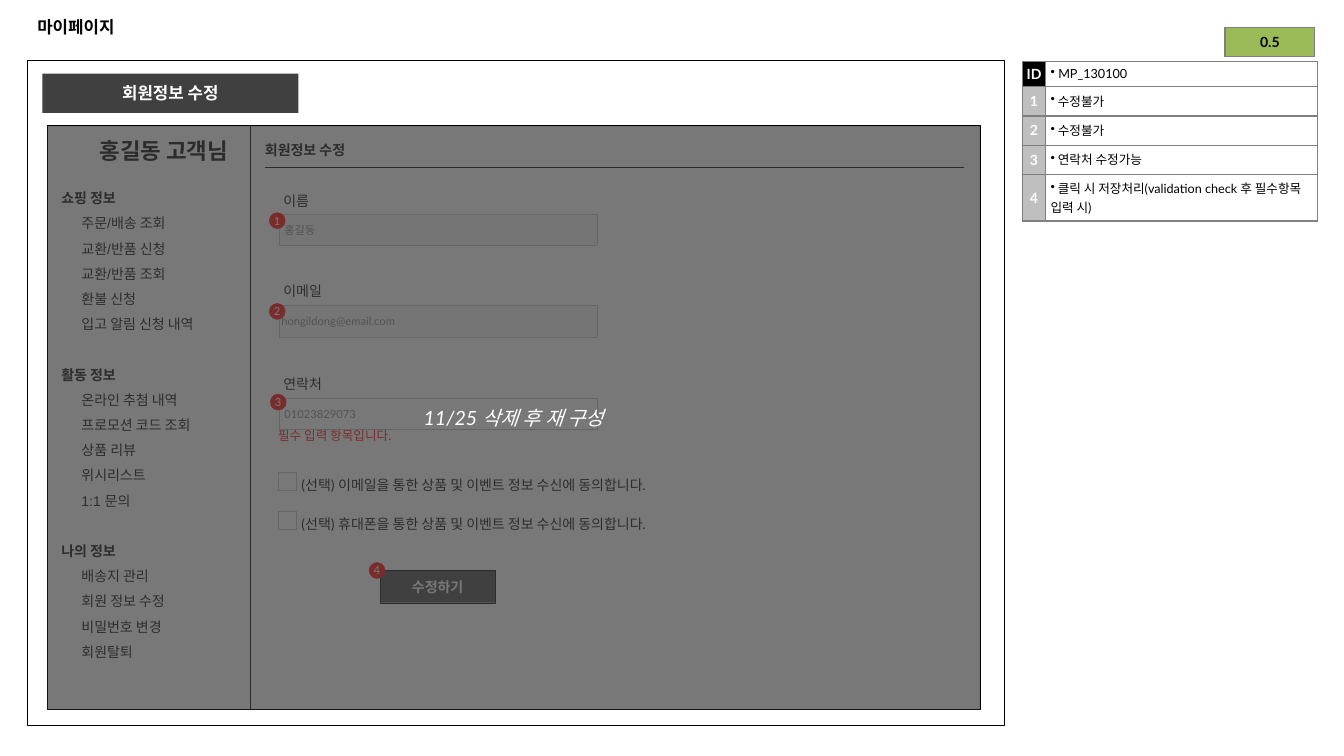
from lxml import etree
from pptx import Presentation
from pptx.dml.color import RGBColor
from pptx.enum.shapes import MSO_CONNECTOR, MSO_SHAPE
from pptx.enum.text import MSO_ANCHOR, PP_ALIGN
from pptx.oxml.ns import qn
from pptx.util import Inches, Pt

RECTANGLE, OVAL = MSO_SHAPE.RECTANGLE, MSO_SHAPE.OVAL
STRAIGHT = MSO_CONNECTOR.STRAIGHT
LEFT, CENTER = PP_ALIGN.LEFT, PP_ALIGN.CENTER
TOP, MIDDLE = MSO_ANCHOR.TOP, MSO_ANCHOR.MIDDLE

COLORS = {
    "black": "000000", "white": "FFFFFF", "dark": "404040", "rule": "7F7F7F",
    "hint": "808080", "pale": "BFBFBF", "field": "F2F2F2", "red": "FF0000",
    "green": "9BBB59",
}
ARIAL, LATO, NOTO = "Arial", "Lato", "Noto Sans CJK KR"
GRID = Inches(0.1)  # one column and one row of the layout grid
FORM_LEFT = 27.7

MENU = {
    "쇼핑 정보": ["주문/배송 조회", "교환/반품 신청", "교환/반품 조회", "환불 신청",
              "입고 알림 신청 내역"],
    "활동 정보": ["온라인 추첨 내역", "프로모션 코드 조회", "상품 리뷰", "위시리스트",
              "1:1 문의"],
    "나의 정보": ["배송지 관리", "회원 정보 수정", "비밀번호 변경", "회원탈퇴"],
}
NOTES = [
    ("ID", "MP_130100", 2.5),
    ("1", "수정불가", 2.9),
    ("2", "수정불가", 2.9),
    ("3", "연락처 수정가능", 2.9),
    ("4", "클릭 시 저장처리(validation check 후 필수항목 입력 시)", 4.6),
]
# label, label row, value, value inset, field row, field fill
FIELDS = [
    ("이름", 17.9, "홍길동", 0.5, 21.2, "field"),
    ("이메일", 26.8, "hongildong@email.com", 0.2, 30.3, "field"),
    ("연락처", 36, "01023829073", 0.5, 39.5, "white"),
]
CONSENTS = [
    ("(선택) 이메일을 통한 상품 및 이벤트 정보 수신에 동의합니다.", 46),
    ("(선택) 휴대폰을 통한 상품 및 이벤트 정보 수신에 동의합니다.", 49.9),
]
MARKERS = [(26.7, 21.1), (26.7, 30.1), (26.8, 39.1), (36.6, 55.8)]


def cells(count):
    return int(count * GRID)


def box(*counts):
    return [cells(count) for count in counts]


def rgb(color):
    return RGBColor.from_string(COLORS[color])


def set_alpha(fill_owner, percent):
    color = fill_owner.find(qn("a:solidFill"))[0]
    etree.SubElement(color, qn("a:alpha")).set("val", str(percent * 1000))


def add_run(paragraph, text, size, font, color="black", bold=False, italic=False):
    run = paragraph.add_run()
    run.text = text
    run.font.size, run.font.bold, run.font.italic = Pt(size), bold, italic
    run.font.color.rgb = rgb(color)
    run.font.name = font
    east_asian = etree.SubElement(run.font._element, qn("a:ea"))
    east_asian.set("typeface", NOTO)


def set_insets(frame, inset):
    frame.margin_left = frame.margin_right = cells(inset)
    frame.margin_top = frame.margin_bottom = cells(inset)


def add_panel(slide, place, fill=None, line=None, width=0.25, kind=RECTANGLE):
    shape = slide.shapes.add_shape(kind, *box(*place))
    shape.shadow.inherit = False
    if fill:
        shape.fill.solid()
        shape.fill.fore_color.rgb = rgb(fill)
    else:
        shape.fill.background()
    if line:
        shape.line.color.rgb = rgb(line)
        shape.line.width = Pt(width)
    else:
        shape.line.fill.background()
    return shape


def write_centered(shape, text, size, font, inset=0, **style):
    frame = shape.text_frame
    frame.vertical_anchor = MIDDLE
    set_insets(frame, inset)
    frame.paragraphs[0].alignment = CENTER
    add_run(frame.paragraphs[0], text, size, font, "white", **style)


def add_text_frame(slide, place, inset=None, anchor=TOP):
    frame = slide.shapes.add_textbox(*box(*place)).text_frame
    frame.word_wrap = True
    frame.vertical_anchor = anchor
    if inset is not None:
        set_insets(frame, inset)
    return frame


def add_text(slide, place, text, size, font, spacing=1, inset=None, anchor=TOP, **style):
    paragraph = add_text_frame(slide, place, inset, anchor).paragraphs[0]
    paragraph.line_spacing = spacing
    add_run(paragraph, text, size, font, **style)


def add_grid(slide, left, top, widths, heights):
    width, height = sum(widths), sum(heights)
    table = slide.shapes.add_table(
        len(heights), len(widths), *box(left, top, width, height)).table
    table.first_row = table.horz_banding = False
    for column, size in zip(table.columns, widths):
        column.width = cells(size)
    for row, size in zip(table.rows, heights):
        row.height = cells(size)
    return table


def format_cell(cell, fill, border, width, inset=0, anchor=MIDDLE, align=LEFT):
    """Style a cell and return its paragraph."""
    properties = cell._tc.get_or_add_tcPr()
    for side in ("lnL", "lnR", "lnT", "lnB"):
        line = etree.SubElement(properties, qn("a:" + side), w=str(Pt(width)))
        solid = etree.SubElement(line, qn("a:solidFill"))
        etree.SubElement(solid, qn("a:srgbClr"), val=COLORS[border])
    if fill:
        cell.fill.solid()
        cell.fill.fore_color.rgb = rgb(fill)
    else:
        cell.fill.background()
    set_insets(cell, inset)
    cell.vertical_anchor = anchor
    paragraph = cell.text_frame.paragraphs[0]
    paragraph.alignment = align
    return paragraph


def add_notes_table(slide):
    table = add_grid(slide, 101.4, 6.1, [2.3, 27], [height for _, _, height in NOTES])
    for index, (key, note, _) in enumerate(NOTES):
        fill = "pale" if index else "black"
        paragraph = format_cell(table.cell(index, 0), fill, "rule", 1, align=CENTER)
        add_run(paragraph, key, 10, LATO, "white", bold=True)
        paragraph = format_cell(table.cell(index, 1), None, "rule", 1, 0.5, TOP)
        bullet = etree.SubElement(paragraph._p.get_or_add_pPr(), qn("a:buChar"))
        bullet.set("char", "•")
        add_run(paragraph, " " + note, 9, LATO)


def add_menu(slide):
    frame = add_text_frame(slide, (5.1, 17.5, 19.7, 47.3))
    paragraph = frame.paragraphs[0]
    for group, (heading, items) in enumerate(MENU.items()):
        if group:
            paragraph = frame.add_paragraph()
            paragraph.space_before = Pt(18)
        paragraph.line_spacing = Pt(18)
        add_run(paragraph, heading, 10, ARIAL, bold=True)
        for item in items:
            paragraph = frame.add_paragraph()
            paragraph.line_spacing = Pt(18)
            paragraph._p.get_or_add_pPr().set("marL", str(cells(2)))
            add_run(paragraph, item, 10, ARIAL)


def add_field(slide, label, label_row, value, inset, row, fill):
    cell = add_grid(slide, FORM_LEFT, row, [31.5], [3.1]).cell(0, 0)
    paragraph = format_cell(cell, fill, "pale", 0.25)
    cell.margin_left = cells(inset)
    add_run(paragraph, value, 8, LATO, "hint")
    add_text(slide, (FORM_LEFT, label_row, 17.5, 3.2), label, 10, LATO, 1.5, 0.4)


def add_consent(slide, text, row):
    add_text(slide, (29.5, row, 42.1, 3.2), text, 10, LATO, 1.5, 0.4)
    checkbox = add_grid(slide, 27.6, row + 0.8, [1.8], [1.8]).cell(0, 0)
    paragraph = format_cell(checkbox, "white", "pale", 0.25)
    etree.SubElement(paragraph._p, qn("a:endParaRPr"), sz="800")


def add_rule(slide, left, right, row):
    rule = slide.shapes.add_connector(STRAIGHT, *box(left, row, right, row))
    rule.line.color.rgb = rgb("black")
    rule.line.width = Pt(0.75)
    etree.SubElement(rule._element.spPr, qn("a:effectLst"))


def add_title(slide, text):
    title = slide.shapes.title
    title.left, title.top, title.width, title.height = box(2.7, 0.7, 127.9, 3.9)
    title.text_frame.vertical_anchor = MIDDLE
    paragraph = title.text_frame.paragraphs[0]
    paragraph.alignment = LEFT
    add_run(paragraph, text, 12, ARIAL, bold=True)


def add_overlay(slide):
    overlay = add_panel(slide, (4.7, 12.5, 92.5, 57.9), "dark", "black")
    set_alpha(overlay._element.spPr, 70)
    set_alpha(overlay.line._ln, 52)
    write_centered(overlay, "11/25 삭제 후 재 구성", 14, LATO, 0.4, italic=True)


def main():
    presentation = Presentation()
    presentation.slide_width, presentation.slide_height = Inches(13.33), Inches(7.5)
    slide = presentation.slides.add_slide(presentation.slide_layouts[5])
    add_title(slide, "마이페이지")
    add_panel(slide, (2.7, 6, 96.9, 66), None, "black", 0.75)
    add_panel(slide, (4.7, 12.4, 20.2, 58), "white", "black")
    banner = add_panel(slide, (4.2, 7.3, 25.4, 3.9), "dark")
    write_centered(banner, "회원정보 수정", 12, ARIAL, bold=True)
    add_notes_table(slide)
    add_menu(slide)
    add_text(slide, (8.9, 13.3, 17.2, 3.3), "홍길동 고객님", 16, ARIAL, Pt(18), bold=True)
    add_panel(slide, (24.8, 12.4, 72.4, 58), "white", "black")
    add_text(slide, (25.3, 12.8, 19.7, 3.3), "회원정보 수정", 10, ARIAL, Pt(18),
             anchor=MIDDLE, bold=True)
    add_rule(slide, 26.3, 95.6, 16.6)
    for field in FIELDS:
        add_field(slide, *field)
    for consent in CONSENTS:
        add_consent(slide, *consent)
    button = add_panel(slide, (37.7, 56.6, 11.4, 3.2), "dark", "black")
    write_centered(button, "수정하기", 10, NOTO, bold=True)
    for number, (left, top) in enumerate(MARKERS, 1):
        marker = add_panel(slide, (left, top, 1.6, 1.6), "red", "red", kind=OVAL)
        write_centered(marker, str(number), 8, LATO)
    add_text(slide, (26.6, 42, 17.9, 2.5), "필수 입력 항목입니다.", 9, NOTO, color="red")
    add_overlay(slide)
    version = add_grid(slide, 121.5, 2.7, [8.9], [2.9]).cell(0, 0)
    paragraph = format_cell(version, "green", "rule", 1, align=CENTER)
    add_run(paragraph, "0.5", 10, LATO, bold=True)
    presentation.save("out.pptx")


if __name__ == "__main__":
    main()
